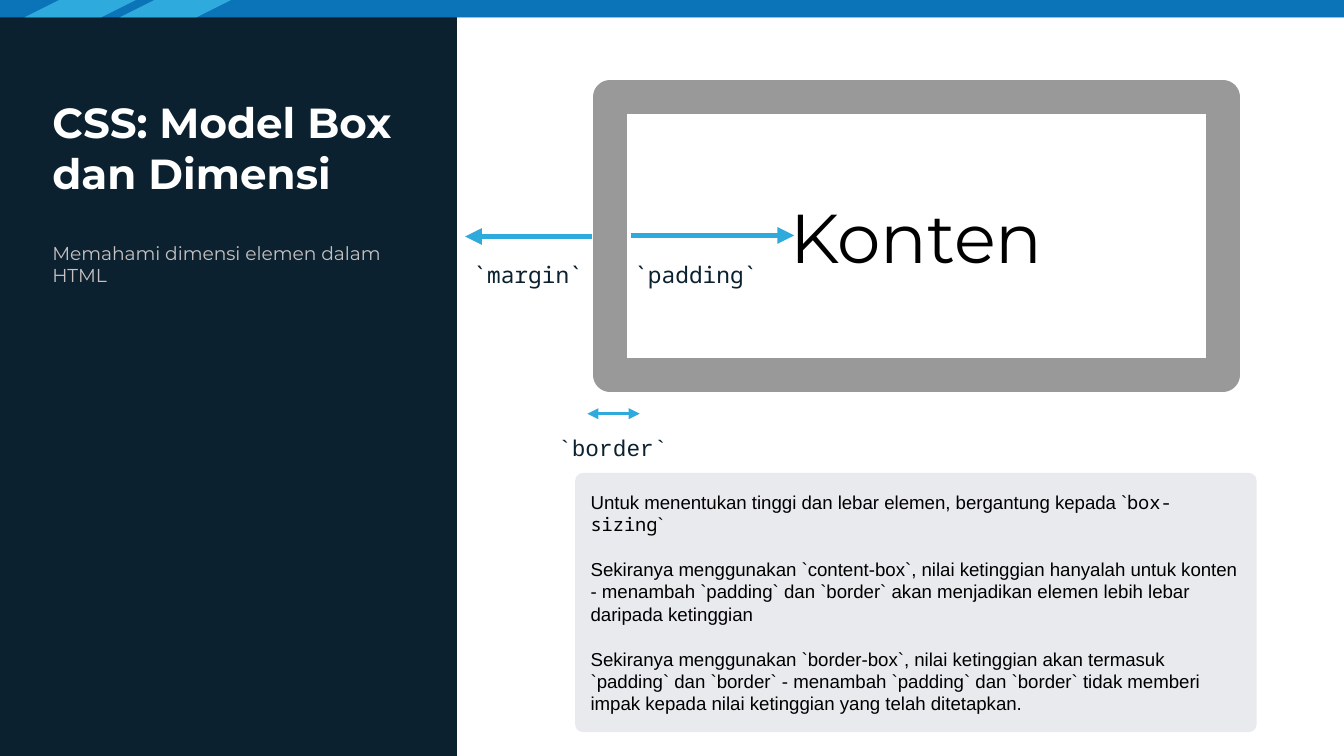
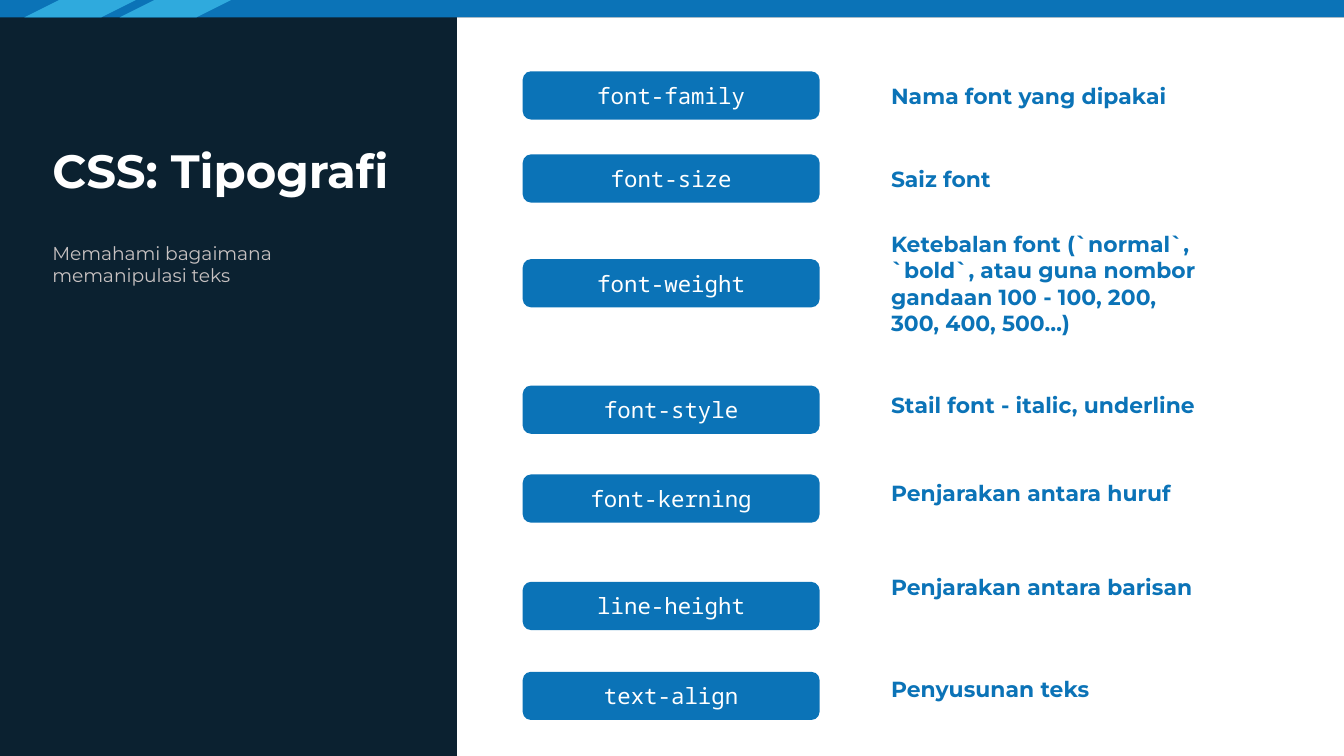
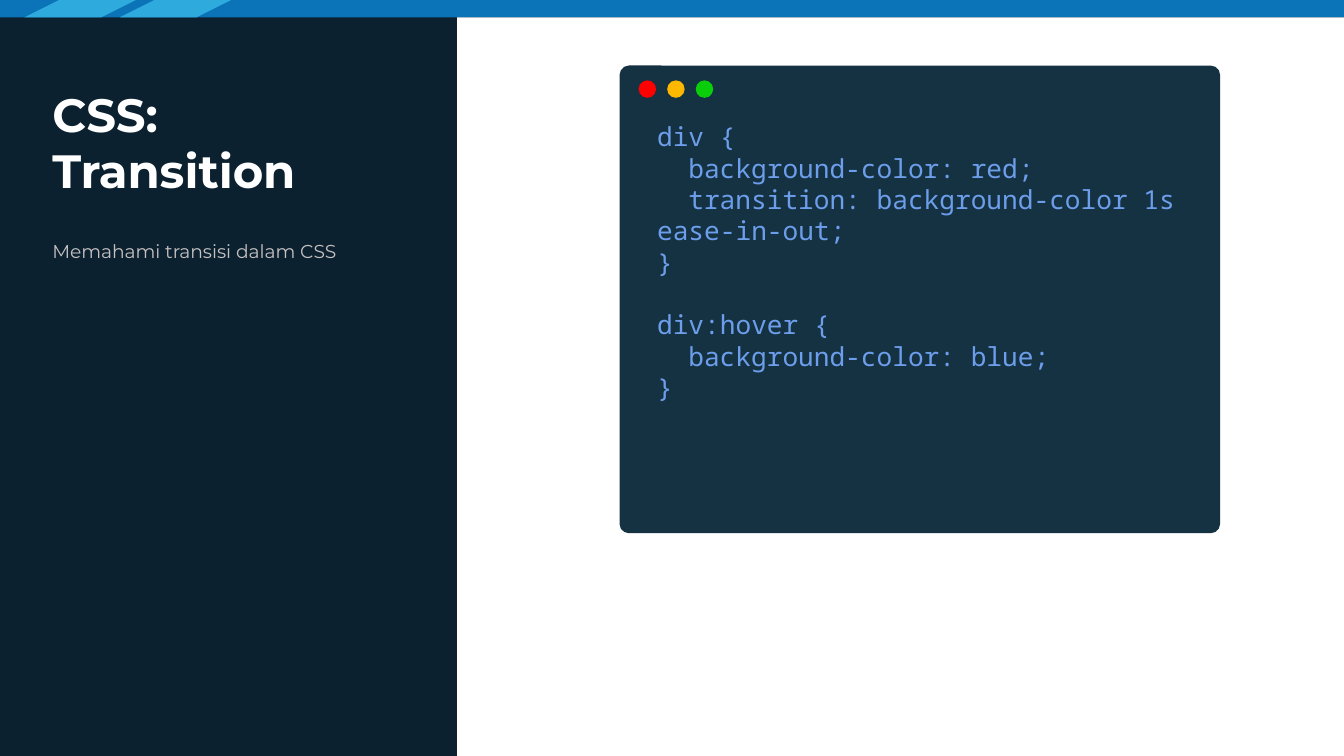
from collections import namedtuple

from lxml.etree import SubElement
from pptx import Presentation
from pptx.dml.color import RGBColor
from pptx.enum.shapes import MSO_CONNECTOR, MSO_SHAPE
from pptx.enum.text import MSO_ANCHOR, PP_ALIGN
from pptx.oxml.ns import qn
from pptx.util import Cm, Pt

NAVY = RGBColor(0x0B, 0x21, 0x30)
BLUE = RGBColor(0x0B, 0x73, 0xB7)
SKY = RGBColor(0x2F, 0xAA, 0xDD)
WHITE = RGBColor(0xFF, 0xFF, 0xFF)
BLACK = RGBColor(0x00, 0x00, 0x00)
SILVER = RGBColor(0xC7, 0xC1, 0xC1)
BORDER_GRAY = RGBColor(0x99, 0x99, 0x99)
NOTE_GRAY = RGBColor(0xE8, 0xEA, 0xED)
EDITOR = RGBColor(0x15, 0x32, 0x43)
CODE_BLUE = RGBColor(0x6D, 0x9E, 0xEB)
RED = RGBColor(0xFF, 0x00, 0x00)
AMBER = RGBColor(0xFE, 0xB8, 0x00)
GREEN = RGBColor(0x0B, 0xCE, 0x0B)

SANS = "Montserrat"
MONO = "Noto Sans Mono"
BODY = "Arial"
TYPEWRITER = "Courier New"

Box = namedtuple("Box", "left top width height")
Style = namedtuple("Style", "font size color bold", defaults=(False,))

SLIDE = Box(0, 0, 25.4, 14.29)
BAND = Box(0, 0, 25.4, 0.33)
PANEL = Box(8.64, 0.33, 16.76, 13.96)
SIDEBAR = Box(0.74, 1.35, 7.01, 6.4)
BOX_MODEL = Box(8.51, 1.83, 14.61, 7.11)
SIZING_NOTE = Box(10.87, 8.94, 12.88, 4.9)
PROPERTY_LIST = Box(9.88, 1.35, 12.98, 12.27)
CODE_WINDOW = Box(11.71, 1.24, 11.35, 8.84)

PROPERTIES = [
    ("font-family", 0, "Nama font yang dipakai", 0),
    ("font-size", 1.57, "Saiz font", 1.57),
    ("font-weight", 3.55,
     "Ketebalan font (`normal`, `bold`, atau guna nombor gandaan "
     "100 - 100, 200, 300, 400, 500…)", 3.55),
    ("font-style", 5.94, "Stail font - italic, underline", 5.84),
    ("font-kerning", 7.62, "Penjarakan antara huruf", 7.51),
    ("line-height", 9.65, "Penjarakan antara barisan", 9.29),
    ("text-align", 11.35, "Penyusunan teks", 11.22),
]

SIZING_RULES = [
    "Sekiranya menggunakan `content-box`, nilai ketinggian hanyalah untuk "
    "konten - menambah `padding` dan `border` akan menjadikan elemen lebih "
    "lebar daripada ketinggian",
    "Sekiranya menggunakan `border-box`, nilai ketinggian akan termasuk "
    "`padding` dan `border` - menambah `padding` dan `border` tidak memberi "
    "impak kepada nilai ketinggian yang telah ditetapkan.",
]

CSS_RULES = [
    ("div {", ["background-color: red;",
               "transition: background-color 1s ease-in-out;"]),
    ("div:hover {", ["background-color: blue;"]),
]


def inside(box, left, top, width, height):
    return Box(box.left + left, box.top + top, width, height)


def lengths(box):
    return [Cm(value) for value in box]


def style_paragraph(paragraph, style, align=PP_ALIGN.LEFT):
    paragraph.alignment = align
    paragraph.font.name = style.font
    paragraph.font.size = Pt(style.size)
    paragraph.font.color.rgb = style.color
    paragraph.font.bold = style.bold


def prepare_frame(shape, anchor):
    frame = shape.text_frame
    frame.word_wrap = True
    frame.vertical_anchor = anchor
    frame.margin_left = frame.margin_right = Cm(0.25)
    frame.margin_top = frame.margin_bottom = Cm(0.25)
    return frame


def write(shape, text, style, align=PP_ALIGN.LEFT, anchor=MSO_ANCHOR.MIDDLE):
    paragraph = prepare_frame(shape, anchor).paragraphs[0]
    paragraph.text = text
    style_paragraph(paragraph, style, align)


def add_text(slide, box, text, style, align=PP_ALIGN.LEFT,
             anchor=MSO_ANCHOR.MIDDLE):
    write(slide.shapes.add_textbox(*lengths(box)), text, style, align, anchor)


def add_block(slide, kind, box, color, adjustment=None):
    block = slide.shapes.add_shape(kind, *lengths(box))
    block.shadow.inherit = False
    block.fill.solid()
    block.fill.fore_color.rgb = color
    block.line.fill.background()
    if adjustment is not None:
        block.adjustments[0] = adjustment
    return block


def add_arrow(slide, box, start, end, y, weight, ends=("tailEnd",)):
    arrow = slide.shapes.add_connector(
        MSO_CONNECTOR.STRAIGHT, Cm(box.left + start), Cm(box.top + y),
        Cm(box.left + end), Cm(box.top + y))
    arrow.line.color.rgb = SKY
    arrow.line.width = Pt(weight)
    properties = arrow.line._get_or_add_ln()
    for end_name in ends:
        SubElement(properties, qn(f"a:{end_name}"), type="triangle")
    SubElement(arrow._element.spPr, qn("a:effectLst"))


def draw_band(slide, box):
    add_block(slide, MSO_SHAPE.RECTANGLE, box, BLUE)
    for left in (0.46, 2.26):
        add_block(slide, MSO_SHAPE.PARALLELOGRAM,
                  inside(box, left, 0, 2.11, box.height), SKY, 2)


def draw_sidebar(slide, box, title, subtitle, title_size):
    add_text(slide, inside(box, 0, 0, box.width, 2.64), title,
             Style(SANS, title_size, WHITE, True), anchor=MSO_ANCHOR.BOTTOM)
    add_text(slide, inside(box, 0, 2.97, box.width, 3.43), subtitle,
             Style(SANS, 10, SILVER), anchor=MSO_ANCHOR.TOP)


def add_topic_slide(presentation, title, subtitle, title_size=25):
    slide = presentation.slides.add_slide(presentation.slide_layouts[6])
    draw_band(slide, BAND)
    add_block(slide, MSO_SHAPE.RECTANGLE, PANEL, WHITE)
    draw_sidebar(slide, SIDEBAR, title, subtitle, title_size)
    return slide


def draw_box_model(slide, box):
    border = slide.shapes.add_shape(
        MSO_SHAPE.RECTANGLE, *lengths(inside(box, 3.02, 0, 11.58, 5.26)))
    border.shadow.inherit = False
    border.fill.background()
    border.line.color.rgb = BORDER_GRAY
    border.line.width = Pt(18)
    SubElement(border.line._get_or_add_ln(), qn("a:round"))
    write(border, "Konten", Style(SANS, 37, BLACK), PP_ALIGN.CENTER)

    add_arrow(slide, box, 3.41, 6.5, 2.62, 3)
    add_arrow(slide, box, 2.67, 0.28, 2.64, 3)
    add_arrow(slide, box, 2.59, 3.58, 5.99, 1.5, ("headEnd", "tailEnd"))
    for label, left, top, font in (("`padding`", 3.17, 2.87, MONO),
                                   ("`margin`", 0, 2.87, MONO),
                                   ("`border`", 1.6, 6.15, TYPEWRITER)):
        add_text(slide, inside(box, left, top, 2.95, 0.97), label,
                 Style(font, 12.2, NAVY), PP_ALIGN.CENTER)


def draw_sizing_note(slide, box):
    note = add_block(slide, MSO_SHAPE.ROUNDED_RECTANGLE, box, NOTE_GRAY, 0.03)
    style = Style(BODY, 10, BLACK)
    frame = prepare_frame(note, MSO_ANCHOR.MIDDLE)
    opening = frame.paragraphs[0]
    style_paragraph(opening, style)
    for text, font in (
            ("Untuk menentukan tinggi dan lebar elemen, bergantung kepada `",
             BODY), ("box-sizing", MONO), ("`", BODY)):
        run = opening.add_run()
        run.text = text
        run.font.name = font
    for rule in SIZING_RULES:
        paragraph = frame.add_paragraph()
        paragraph.text = rule
        paragraph.space_before = Pt(12)
        style_paragraph(paragraph, style)


def draw_property_list(slide, box):
    for name, name_top, meaning, meaning_top in PROPERTIES:
        button = add_block(slide, MSO_SHAPE.ROUNDED_RECTANGLE,
                           inside(box, 0, name_top, 5.61, 0.91), BLUE, 0.17)
        write(button, name, Style(MONO, 12, WHITE), PP_ALIGN.CENTER)
        add_text(slide, inside(box, 6.71, meaning_top, 6.27, 0.91), meaning,
                 Style(SANS, 11.7, BLUE, True))


def draw_code_window(slide, box):
    add_block(slide, MSO_SHAPE.ROUNDED_RECTANGLE, box, EDITOR, 0.02)
    for index, color in enumerate((RED, AMBER, GREEN)):
        add_block(slide, MSO_SHAPE.OVAL,
                  inside(box, 0.36 + index * 0.54, 0.28, 0.33, 0.33), color)

    code = slide.shapes.add_textbox(
        *lengths(inside(box, 0.46, 0.79, 10.59, 5.89)))
    frame = prepare_frame(code, MSO_ANCHOR.TOP)
    paragraph = frame.paragraphs[0]
    for number, (selector, declarations) in enumerate(CSS_RULES):
        for line in (selector, *declarations, "}"):
            if paragraph.text:
                paragraph = frame.add_paragraph()
            paragraph.text = line
            style_paragraph(paragraph, Style(MONO, 14, CODE_BLUE))
            if line in declarations:
                paragraph._p.get_or_add_pPr().set("indent", str(Cm(0.59)))
            if number and line == selector:
                paragraph.space_before = Pt(16.8)


def main():
    presentation = Presentation()
    presentation.slide_width = Cm(SLIDE.width)
    presentation.slide_height = Cm(SLIDE.height)
    background = presentation.slide_master.background.fill
    background.solid()
    background.fore_color.rgb = NAVY

    box_model = add_topic_slide(presentation, "CSS: Model Box dan Dimensi",
                                "Memahami dimensi elemen dalam HTML", 22.5)
    draw_box_model(box_model, BOX_MODEL)
    draw_sizing_note(box_model, SIZING_NOTE)

    typography = add_topic_slide(presentation, "CSS: Tipografi",
                                 "Memahami bagaimana memanipulasi teks")
    draw_property_list(typography, PROPERTY_LIST)

    transition = add_topic_slide(presentation, "CSS: Transition",
                                 "Memahami transisi dalam CSS")
    draw_code_window(transition, CODE_WINDOW)

    presentation.save("out.pptx")


if __name__ == "__main__":
    main()
